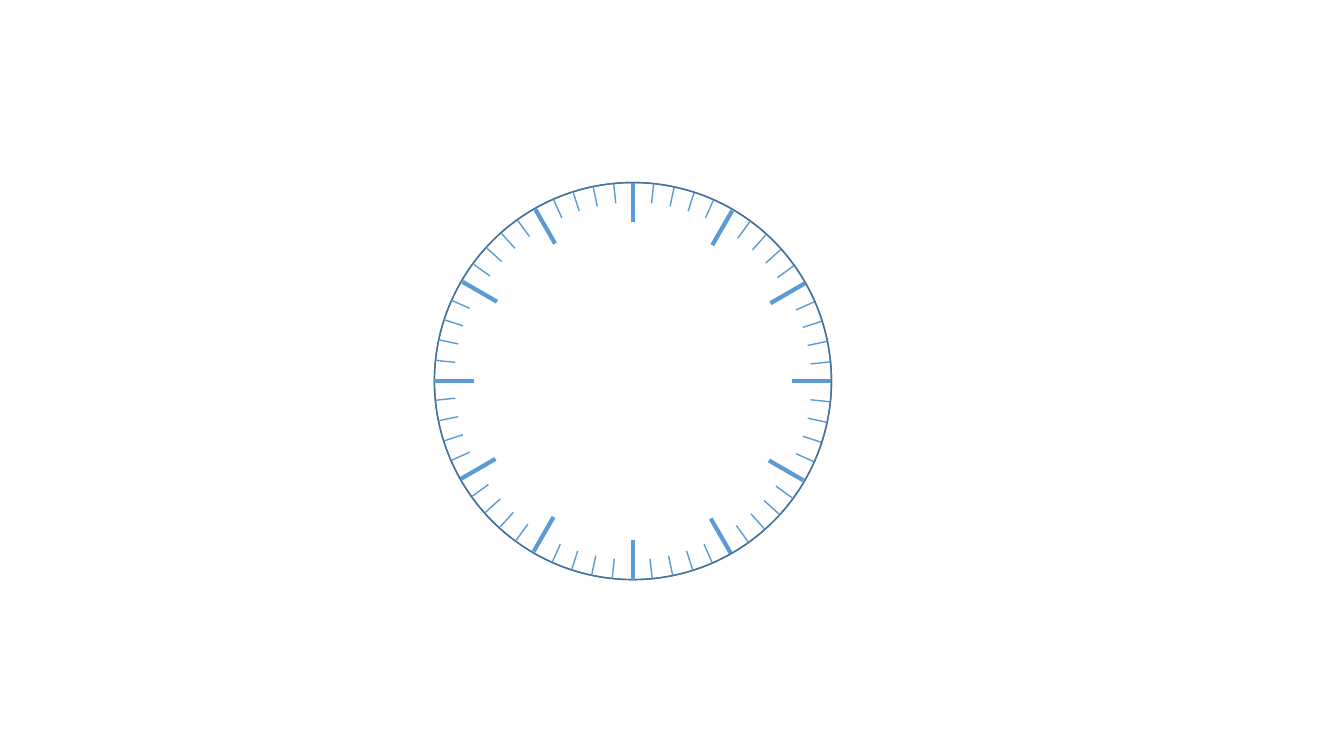
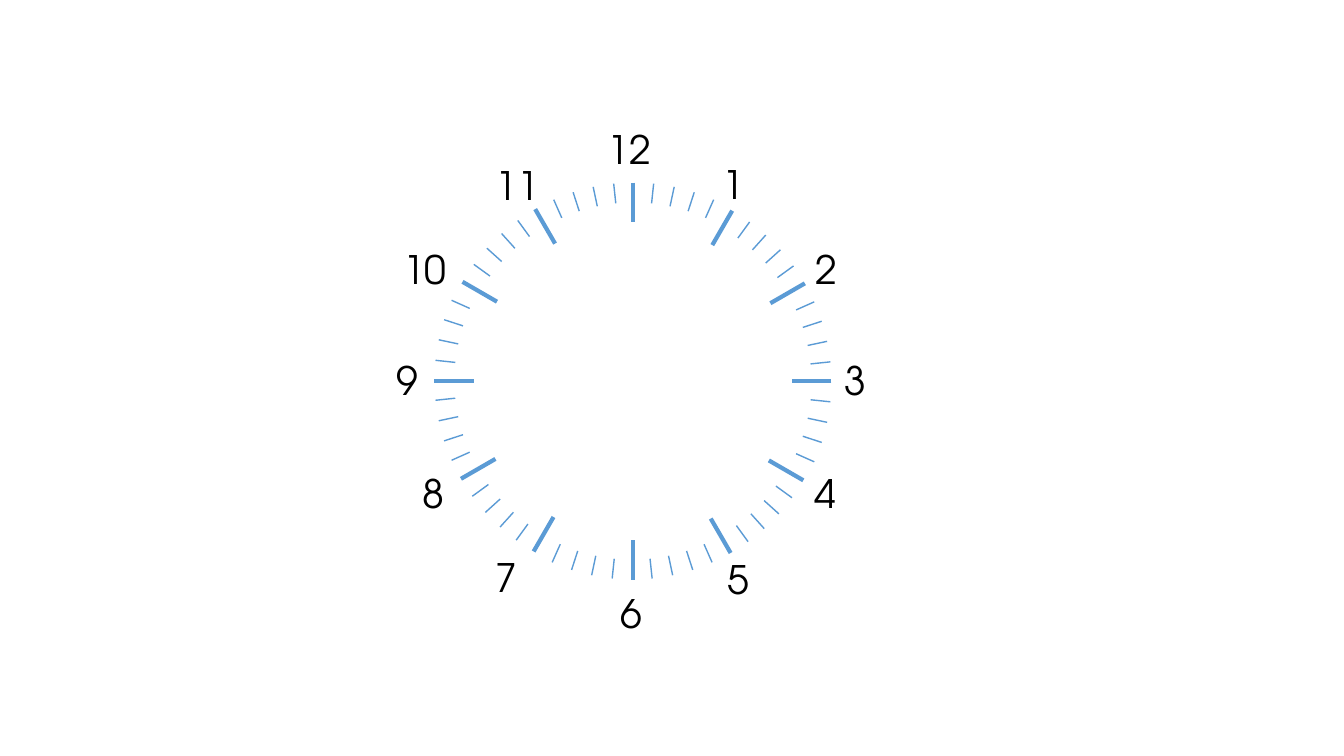
import math

import lxml.etree
import pptx
import pptx.dml.color
import pptx.enum.shapes
import pptx.enum.text
import pptx.oxml.ns
import pptx.util

Pt = pptx.util.Pt
COLORS = {"tick": "5B9BD5", "ring": "43739E", "number": "000000"}
FONT = "TeX Gyre Adventor"

# Dial geometry
CENTER_X, CENTER_Y, RADIUS = 452.1, 272.2, 141.8
HOUR_TICK, MINUTE_TICK = 28.4, 14.2
NUDGE = 1.1

# Left and top of each hour number
NUMBERS = {
    12: (427, 85.7), 1: (509, 110.9), 2: (575.3, 171.4), 3: (596.2, 251.3),
    4: (574.6, 331.9), 5: (512.6, 393.1), 6: (436.3, 417.6), 7: (347, 391.7),
    8: (294.5, 331.9), 9: (275.8, 251.3), 10: (280.8, 171.4), 11: (347, 111.6),
}


def rgb(name):
    return pptx.dml.color.RGBColor.from_string(COLORS[name])


def add_half_ticks(shapes, half):
    sign = -1 if half else 1
    for minute in range(30):
        angle = math.radians(6 * minute)
        is_hour = minute % 5 == 0
        shift_x = -NUDGE if minute >= 20 else 0
        shift_y = NUDGE if 5 <= minute < 15 else 0
        ends = []
        for reach in (RADIUS, RADIUS - (HOUR_TICK if is_hour else MINUTE_TICK)):
            ends.append(Pt(CENTER_X + sign * (reach * math.sin(angle) + shift_x)))
            ends.append(Pt(CENTER_Y + sign * (shift_y - reach * math.cos(angle))))
        tick = shapes.add_connector(pptx.enum.shapes.MSO_CONNECTOR.STRAIGHT, *ends)
        tick.line.color.rgb = rgb("tick")
        tick.line.width = Pt(3 if is_hour else 1)
        lxml.etree.SubElement(tick._element.spPr, pptx.oxml.ns.qn("a:effectLst"))


deck = pptx.Presentation()
deck.slide_width, deck.slide_height = Pt(960), Pt(540)
blank = deck.slide_layouts[6]

# Slide 1: ringed dial, one group for each half
page = deck.slides.add_slide(blank)
for half in range(2):
    group = page.shapes.add_group_shape()
    ring = group.shapes.add_shape(
        pptx.enum.shapes.MSO_SHAPE.OVAL, Pt(CENTER_X - RADIUS), Pt(CENTER_Y - RADIUS),
        Pt(2 * RADIUS), Pt(2 * RADIUS))
    ring.rotation = 180 * half
    ring.shadow.inherit = False
    ring.fill.background()
    ring.line.color.rgb = rgb("ring")
    ring.line.width = Pt(1)
    add_half_ticks(group.shapes, half)

# Slide 2: open dial with hour numbers
page = deck.slides.add_slide(blank)
for half in range(2):
    add_half_ticks(page.shapes, half)

for hour, (left, top) in NUMBERS.items():
    box = page.shapes.add_textbox(Pt(left), Pt(top), Pt(48 if hour >= 10 else 32), Pt(41))
    frame = box.text_frame
    frame.text = str(hour)
    frame.word_wrap = False
    frame.auto_size = pptx.enum.text.MSO_AUTO_SIZE.SHAPE_TO_FIT_TEXT
    span = frame.paragraphs[0].runs[0]
    span.font.name = FONT
    span.font.size = Pt(28)
    span.font.color.rgb = rgb("number")

deck.save("out.pptx")
